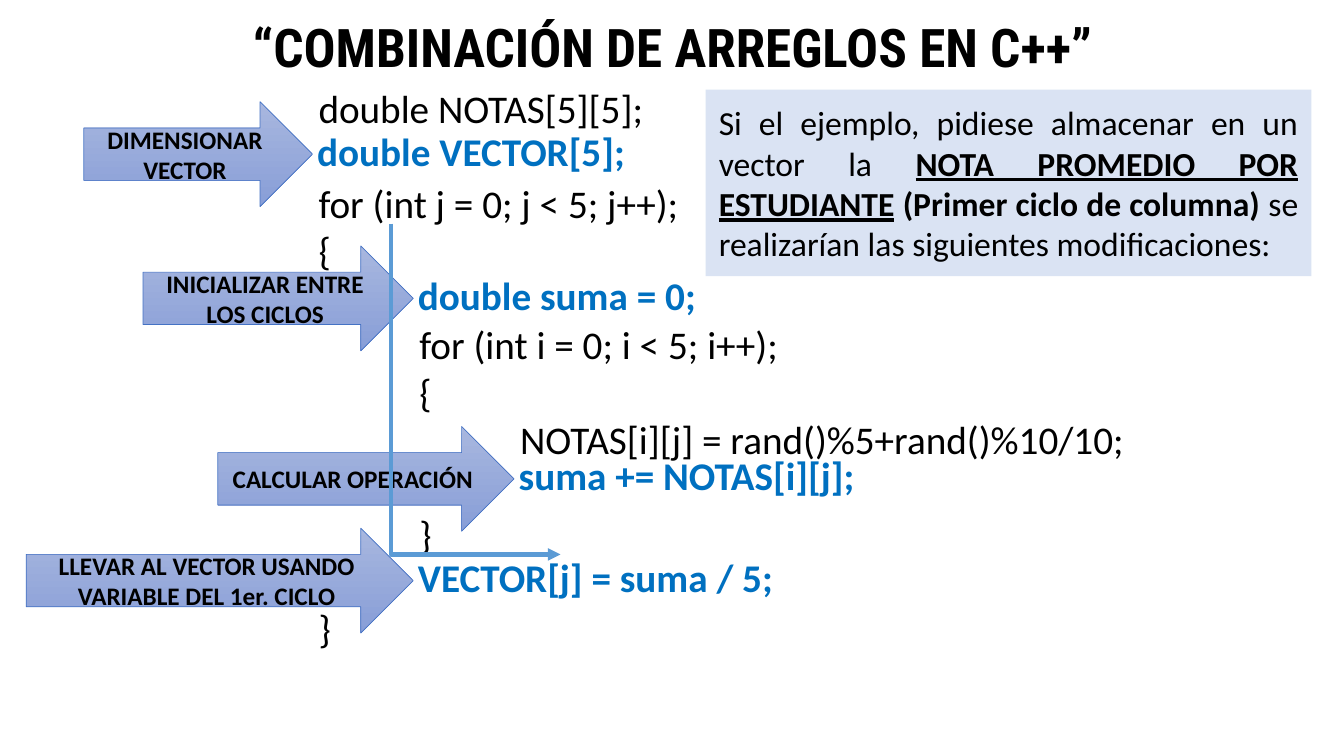
"""Builds the slide on combining arrays in C++."""
from dataclasses import dataclass

from lxml.etree import SubElement as Sub
from pptx import Presentation
from pptx.dml.color import RGBColor as Rgb
from pptx.enum.shapes import MSO_CONNECTOR as Link, MSO_SHAPE as Kind
from pptx.enum.text import MSO_ANCHOR as Anchor, MSO_AUTO_SIZE as Fit, PP_ALIGN as Align
from pptx.oxml.ns import qn
from pptx.util import Pt

TITLE = "“COMBINACIÓN DE ARREGLOS EN C++”"
CODE = [  # noqa
    (0, 0, "double NOTAS[5][5];"),
    (0, 1, "for (int j = 0; j < 5; j++);"),
    (0, 0, "{"),
    (1, 1, "for (int i = 0; i < 5; i++);"),
    (1, 0, "{"),
    (2, 0, "NOTAS[i][j] = rand()%5+rand()%10/10;"),
    (1, 1, "}"),
    (0, 1, "}"),
]
NOTE = [
    ("Si el ejemplo, pidiese almacenar en un vector la ", ""),
    ("NOTA PROMEDIO POR ESTUDIANTE", "bu"),
    (" ", ""),
    ("(Primer ciclo de columna) ", "b"),
    ("se realizarían las siguientes modificaciones:", ""),
]
STEPS = [
    ("DIMENSIONAR VECTOR", "double VECTOR[5];", 59.8, 223.2, 72.7),
    ("INICIALIZAR ENTRE LOS CICLOS", "double suma = 0;", 102.2, 295.2, 175.7),
    ("CALCULAR OPERACIÓN", "suma += NOTAS[i][j];", 155.5, 367.2, 304.6),
    ("LLEVAR AL VECTOR USANDO VARIABLE DEL 1er. CICLO", "VECTOR[j] = suma / 5;",
     18.7, 295.2, 377.3),
]
WIRE = (279.4, 159.8, 400.3, 396)


@dataclass(frozen=True)
class Theme:
    """Colours, fonts and type sizes."""
    ink: str = "000000"
    blue: str = "0070C0"
    panel: str = "DAE3F3"
    light: str = "A8B7DF"
    dark: str = "889ED7"
    edge: str = "4472C4"
    wire: str = "5B9BD5"
    head: str = "Roboto Condensed"
    body: str = "Calibri"
    big: float = 38
    code: float = 28
    note: float = 24
    tag: float = 18


LOOK = Theme()
STEP, TAB, TALL = 33.8, 72, 74.9


def rgb(hue):
    """Return a colour."""
    return Rgb.from_string(hue)


def write(para, text, size, face=LOOK.body, hue=LOOK.ink, bold=False, line=False,
          align=Align.LEFT):
    """Add formatted text to a paragraph."""
    para.alignment = align
    run = para.add_run()
    run.text = text
    font = run.font
    font.name, font.size, font.bold, font.underline = face, Pt(size), bold, line
    font.color.rgb = rgb(hue)


def frame(shape, anchor=Anchor.TOP, pad=(7.2, 3.6)):
    """Prepare the text frame of a shape."""
    body = shape.text_frame
    body.word_wrap, body.auto_size = True, Fit.NONE
    body.vertical_anchor = anchor
    body.margin_left = body.margin_right = Pt(pad[0])
    body.margin_top = body.margin_bottom = Pt(pad[1])
    return body


def place(pool, kind, *area):
    """Add a plain shape, or a text box when no kind is given."""
    area = [Pt(part) for part in area]
    if kind is None:
        return pool.add_textbox(*area)
    shape = pool.add_shape(kind, *area)
    shape.shadow.inherit = False
    return shape


def head(page):
    """Set the title."""
    box = page.shapes.title
    box.left, box.top, box.width, box.height = Pt(77.8), Pt(0), Pt(805.7), Pt(72)
    para = frame(box, Anchor.MIDDLE).paragraphs[0]
    para.line_spacing = 0.9
    write(para, TITLE, LOOK.big, face=LOOK.head, bold=True, align=Align.CENTER)


def code(pool):
    """Add the base program."""
    body = frame(place(pool, None, 155.5, 60, 721.4, 12 * STEP), pad=(0, 0))
    for row, (level, gap, text) in enumerate(CODE):
        para = body.add_paragraph() if row else body.paragraphs[0]
        props = para._p.get_or_add_pPr()
        props.set("marL", str(Pt((level + 1) * TAB)))
        props.set("indent", "0")
        para.line_spacing, para.space_before = Pt(STEP), Pt(gap * STEP)
        write(para, text, LOOK.code)


def note(pool):
    """Add the shaded explanation."""
    box = place(pool, Kind.RECTANGLE, 504, 64.1, 432.7, 133.2)
    box.fill.solid()
    box.fill.fore_color.rgb = rgb(LOOK.panel)
    box.line.fill.background()
    para = frame(box, Anchor.MIDDLE, (9.4, 9.4)).paragraphs[0]
    for text, style in NOTE:
        write(para, text, LOOK.note, bold="b" in style, line="u" in style,
              align=Align.JUSTIFY)


def step(pool, label, text, left, tip, top):
    """Add a block arrow and the statement it points to."""
    arrow = place(pool, Kind.RIGHT_ARROW, left, top, tip - left, TALL)
    arrow.fill.gradient()
    arrow.fill.gradient_angle = 270
    for stop, hue in zip(arrow.fill.gradient_stops, (LOOK.light, LOOK.dark)):
        stop.color.rgb = rgb(hue)
    arrow.line.color.rgb, arrow.line.width = rgb(LOOK.edge), Pt(0.5)
    write(frame(arrow, Anchor.MIDDLE).paragraphs[0], label, LOOK.tag, bold=True,
          align=Align.CENTER)
    box = place(pool, None, tip - 3.8, top + 14.5, 275, 41)
    write(frame(box).paragraphs[0], text, LOOK.code, hue=LOOK.blue, bold=True)


def wire(pool):
    """Add the elbow arrow, a quarter turn of a flipped connector."""
    left, top, right, base = WIRE
    midx, midy = (left + right) / 2, (top + base) / 2
    wide, tall = (base - top) / 2, (right - left) / 2
    link = pool.add_connector(Link.ELBOW, Pt(midx + wide), Pt(midy - tall),
                              Pt(midx - wide), Pt(midy + tall))
    link.line.color.rgb, link.line.width = rgb(LOOK.wire), Pt(3)
    props = link._element.spPr
    props.xfrm.set("rot", str(270 * 60000))
    geom = props.find(qn("a:prstGeom"))
    marks = geom.find(qn("a:avLst"))
    if marks is None:
        marks = Sub(geom, qn("a:avLst"))
    Sub(marks, qn("a:gd"), name="adj1", fmla="val 100000")
    Sub(props.find(qn("a:ln")), qn("a:tailEnd"), type="triangle")
    Sub(props, qn("a:effectLst"))


def main():
    """Build and save the slide."""
    deck = Presentation()
    deck.slide_width, deck.slide_height = Pt(960), Pt(540)
    page = deck.slides.add_slide(deck.slide_layouts[5])
    head(page)
    code(page.shapes)
    note(page.shapes)
    for item in STEPS:
        step(page.shapes, *item)
    wire(page.shapes)
    deck.save("out.pptx")


if __name__ == "__main__":
    main()
